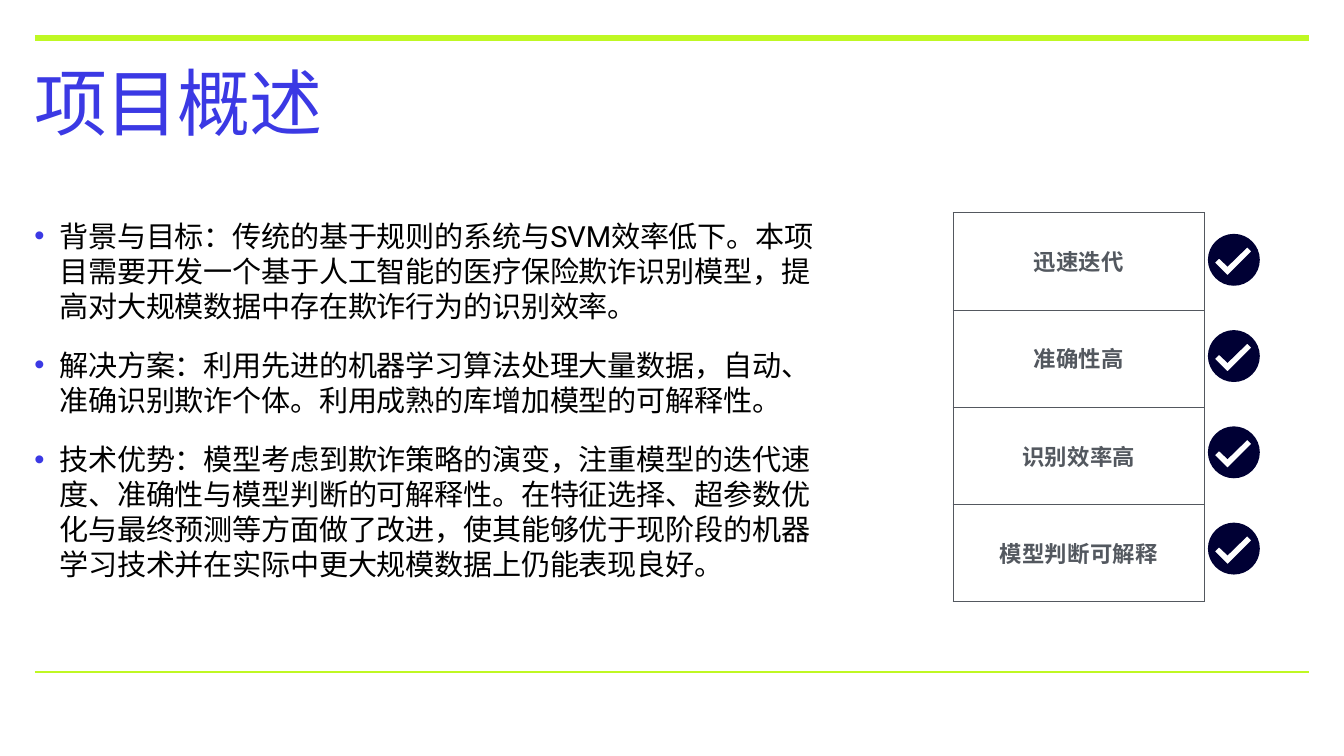
from lxml import etree
from pptx import Presentation
from pptx.dml.color import RGBColor
from pptx.enum.lang import MSO_LANGUAGE_ID
from pptx.enum.shapes import MSO_CONNECTOR
from pptx.enum.text import MSO_ANCHOR, MSO_AUTO_SIZE, PP_ALIGN
from pptx.oxml.ns import qn
from pptx.util import Pt

TITLE = "项目概述"
POINTS = [
    "背景与目标：传统的基于规则的系统与SVM效率低下。本项目需要开发一个基于人工智能的医疗保险欺诈识别模型，提高对大规模数据中存在欺诈行为的识别效率。",
    "解决方案：利用先进的机器学习算法处理大量数据，自动、准确识别欺诈个体。利用成熟的库增加模型的可解释性。",
    "技术优势：模型考虑到欺诈策略的演变，注重模型的迭代速度、准确性与模型判断的可解释性。在特征选择、超参数优化与最终预测等方面做了改进，使其能够优于现阶段的机器学习技术并在实际中更大规模数据上仍能表现良好。",
]
BENEFITS = ["迅速迭代", "准确性高", "识别效率高", "模型判断可解释"]
RULES = [(69, 1333, 3), (70, 76, 9)]
RULE_WIDTH = 2528

CHINESE = MSO_LANGUAGE_ID.SIMPLIFIED_CHINESE
STRAIGHT = MSO_CONNECTOR.STRAIGHT
TOP, MIDDLE = MSO_ANCHOR.TOP, MSO_ANCHOR.MIDDLE
LEFT, CENTER = PP_ALIGN.LEFT, PP_ALIGN.CENTER
NO_FIT = MSO_AUTO_SIZE.NONE

LIME = RGBColor(0xBF, 0xF8, 0x23)
BLUE = RGBColor(0x3B, 0x39, 0xE4)
BLACK = RGBColor(0x00, 0x00, 0x00)
GRAY = RGBColor(0x53, 0x58, 0x5F)
NAVY = RGBColor(0x00, 0x00, 0x34)

PX = 9144
INSET = 6
INDENT = 50
TABLE_X, TABLE_Y, TABLE_W, ROW_H = 1891, 422, 499, 193
CELL_TOP, CELL_BOTTOM = 9, 3
CHECK_X, CHECK_Y, CHECK_STEP, CHECK_SIZE = 2397, 464, 191, 103
MID = CHECK_SIZE / 2
QUADRANTS = [(0, MID), (MID, 0), (CHECK_SIZE, MID), (MID, CHECK_SIZE), (0, MID)]
CORNERS = [(0, 0), (CHECK_SIZE, 0), (CHECK_SIZE, CHECK_SIZE), (0, CHECK_SIZE)]
ROUNDNESS = 0.55
TICK = [(78, 27), (86, 35), (39, 82), (14, 57), (22, 49), (39, 65)]


def px(n):
    return round(n * PX)


def set_frame(tf, anchor):
    tf.word_wrap = True
    tf.auto_size = NO_FIT
    tf.vertical_anchor = anchor
    tf.margin_left = tf.margin_right = tf.margin_top = tf.margin_bottom = px(INSET)


def style(p, font, size, color, spacing, bold=False):
    for r in p.runs:
        r.font.name = font
        r.font.size = Pt(size)
        r.font.bold = bold
        r.font.color.rgb = color
        r.font.language_id = CHINESE
        r.font._element.set("spc", str(spacing))


def add_bullet(p):
    pPr = p._p.get_or_add_pPr()
    pPr.set("marL", str(px(INDENT)))
    pPr.set("indent", str(-px(INDENT)))
    clr = etree.SubElement(pPr, qn("a:buClr"))
    etree.SubElement(clr, qn("a:srgbClr"), val=str(BLUE))
    etree.SubElement(pPr, qn("a:buFont"), typeface="Arial")
    etree.SubElement(pPr, qn("a:buChar"), char="•")


def add_borders(cell):
    tcPr = cell._tc.get_or_add_tcPr()
    for i, side in enumerate(("lnL", "lnR", "lnT", "lnB")):
        ln = etree.Element(qn("a:" + side), w=str(Pt(1)))
        fill = etree.SubElement(ln, qn("a:solidFill"))
        etree.SubElement(fill, qn("a:srgbClr"), val=str(GRAY))
        tcPr.insert(i, ln)


def add_rule(s, x, y, weight):
    line = s.shapes.add_connector(STRAIGHT, px(x), px(y), px(x + RULE_WIDTH), px(y))
    line.line.color.rgb = LIME
    line.line.width = Pt(weight)
    etree.SubElement(line._element.spPr, qn("a:effectLst"))


def toward(start, corner):
    return tuple(a + ROUNDNESS * (b - a) for a, b in zip(start, corner))


def round_circle(sp):
    lines = list(sp._element.iter(qn("a:lnTo")))
    for line, start, corner, end in zip(lines, QUADRANTS, CORNERS, QUADRANTS[1:]):
        curve = etree.Element(qn("a:cubicBezTo"))
        for x, y in (toward(start, corner), toward(end, corner), end):
            etree.SubElement(curve, qn("a:pt"), x=str(px(x)), y=str(px(y)))
        line.getparent().replace(line, curve)


def add_check(s, x, y):
    circle, tick = (
        [(px(x + dx), px(y + dy)) for dx, dy in outline] for outline in (QUADRANTS, TICK)
    )
    builder = s.shapes.build_freeform(*circle[0])
    builder.add_line_segments(circle[1:], close=True)
    builder.move_to(*tick[0])
    builder.add_line_segments(tick[1:], close=True)
    sp = builder.convert_to_shape()
    round_circle(sp)
    sp.shadow.inherit = False
    sp.fill.solid()
    sp.fill.fore_color.rgb = NAVY
    sp.line.fill.background()


def add_title(s):
    title = s.shapes.title
    title.left, title.top, title.width, title.height = px(62), px(169), px(2542), px(213)
    tf = title.text_frame
    tf.text = TITLE
    set_frame(tf, TOP)
    p = tf.paragraphs[0]
    p.alignment = LEFT
    p.line_spacing = 0.6
    style(p, "Lato", 104.4, BLUE, -210)


def add_points(s):
    tf = s.shapes.add_textbox(px(62), px(427), px(1569), px(842)).text_frame
    tf.text = "\n".join(POINTS)
    set_frame(tf, TOP)
    for p in tf.paragraphs:
        p.line_spacing = Pt(49.9)
        p.space_before = Pt(34.8)
        add_bullet(p)
        style(p, "Roboto", 41.6, BLACK, -40)


def add_benefits(s):
    n = len(BENEFITS)
    table = s.shapes.add_table(
        n, 1, px(TABLE_X), px(TABLE_Y), px(TABLE_W), px(ROW_H * n)
    ).table
    table.first_row = table.horz_banding = False
    for i, label in enumerate(BENEFITS):
        table.rows[i].height = px(ROW_H)
        cell = table.cell(i, 0)
        cell.text_frame.text = label
        cell.vertical_anchor = MIDDLE
        cell.margin_left = cell.margin_right = px(INSET)
        cell.margin_top, cell.margin_bottom = px(CELL_TOP), px(CELL_BOTTOM)
        cell.fill.background()
        add_borders(cell)
        p = cell.text_frame.paragraphs[0]
        p.alignment = CENTER
        p.line_spacing = 0.8
        p.space_before = Pt(36)
        style(p, "Roboto", 32, GRAY, 30, bold=True)
    for i in range(n):
        add_check(s, CHECK_X, CHECK_Y + i * CHECK_STEP)


def main():
    prs = Presentation()
    prs.slide_width, prs.slide_height = px(2667), px(1500)
    s = prs.slides.add_slide(prs.slide_layouts[5])
    for x, y, weight in RULES:
        add_rule(s, x, y, weight)
    add_title(s)
    add_points(s)
    add_benefits(s)
    prs.save("out.pptx")


if __name__ == "__main__":
    main()
